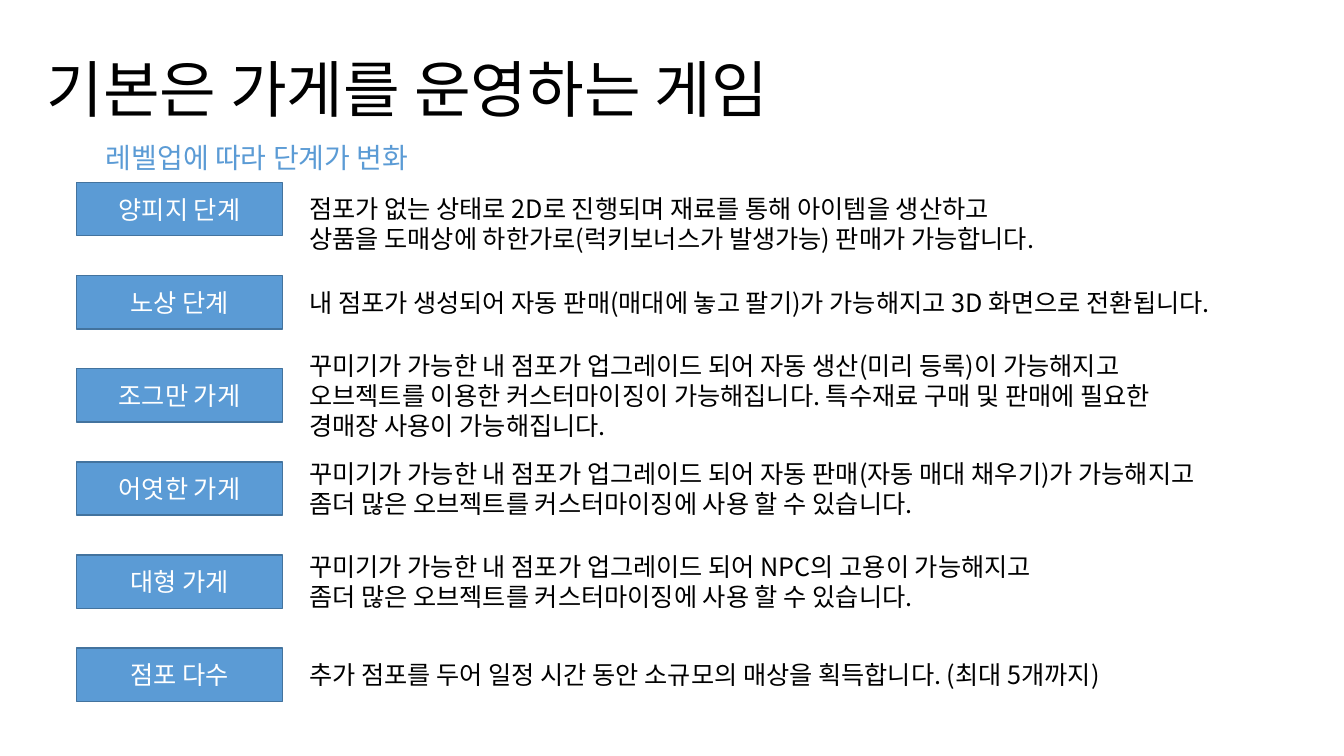
from lxml.etree import SubElement
from pptx import Presentation
from pptx.dml.color import RGBColor
from pptx.enum.shapes import MSO_SHAPE as Shape
from pptx.enum.text import MSO_ANCHOR as Anchor, PP_ALIGN as Align
from pptx.oxml.ns import qn
from pptx.util import Inches, Pt

FONT = "Noto Sans CJK KR"
BLACK = RGBColor(0x00, 0x00, 0x00)
WHITE = RGBColor(0xFF, 0xFF, 0xFF)
BLUE = RGBColor(0x5B, 0x9B, 0xD5)
DARK_BLUE = RGBColor(0x43, 0x73, 0x9E)

# Grid of stages, in inches
LABEL_LEFT, LABEL_WIDTH, LABEL_HEIGHT = 0.76, 2.04, 0.53
TEXT_LEFT, TEXT_WIDTH = 2.97, 10.3
FIRST_TOP, ROW_PITCH = 1.81, 0.924
LINE_HEIGHT, PADDING = 0.3, 0.1

# Label, lines of description, downward shift of the description
STAGES = [
    ("양피지 단계", ["점포가 없는 상태로 2D로 진행되며 재료를 통해 아이템을 생산하고",
                 "상품을 도매상에 하한가로(럭키보너스가 발생가능) 판매가 가능합니다."], 0.14),
    ("노상 단계", ["내 점포가 생성되어 자동 판매(매대에 놓고 팔기)가 가능해지고 "
                "3D 화면으로 전환됩니다."], 0),
    ("조그만 가게", ["꾸미기가 가능한 내 점포가 업그레이드 되어 자동 생산(미리 등록)이 가능해지고",
                 "오브젝트를 이용한 커스터마이징이 가능해집니다. 특수재료 구매 및 판매에 필요한",
                 "경매장 사용이 가능해집니다."], 0),
    ("어엿한 가게", ["꾸미기가 가능한 내 점포가 업그레이드 되어 자동 판매(자동 매대 채우기)가 가능해지고",
                 "좀더 많은 오브젝트를 커스터마이징에 사용 할 수 있습니다."], 0),
    ("대형 가게", ["꾸미기가 가능한 내 점포가 업그레이드 되어 NPC의 고용이 가능해지고",
                "좀더 많은 오브젝트를 커스터마이징에 사용 할 수 있습니다."], 0),
    ("점포 다수", ["추가 점포를 두어 일정 시간 동안 소규모의 매상을 획득합니다. (최대 5개까지)"], 0),
]


def write_lines(shape, lines, size, color, align=Align.LEFT, spacing=None):
    frame = shape.text_frame
    for name, value in {"word_wrap": True, "vertical_anchor": Anchor.MIDDLE}.items():
        setattr(frame, name, value)
    for index, line in enumerate(lines):
        para = frame.add_paragraph() if index else frame.paragraphs[0]
        para.alignment, para.line_spacing = align, spacing
        span = para.add_run()
        span.text = line
        for name, value in {"name": FONT, "size": Pt(size)}.items():
            setattr(span.font, name, value)
        span.font.color.rgb = color
        # Korean glyphs take the East Asian typeface
        SubElement(span.font._element, qn("a:ea"), typeface=FONT)


def add_heading(page):
    title = page.shapes.title
    frame = {"left": 0.36, "top": 0.19, "width": 11.5, "height": 1.45}
    for name, value in frame.items():
        setattr(title, name, Inches(value))
    write_lines(title, ["기본은 가게를 운영하는 게임"], 44, BLACK, spacing=0.9)

    subtitle = page.shapes.add_textbox(
        Inches(LABEL_LEFT), Inches(1.34), Inches(3.58), Inches(0.44))
    write_lines(subtitle, ["레벨업에 따라 단계가 변화"], 20, BLUE, Align.CENTER, Pt(24))


def add_stage(page, top, label, lines, shift):
    # Stage label
    box = page.shapes.add_shape(
        Shape.RECTANGLE, Inches(LABEL_LEFT), Inches(top),
        Inches(LABEL_WIDTH), Inches(LABEL_HEIGHT))
    box.shadow.inherit = False
    box.fill.solid()
    box.fill.fore_color.rgb = BLUE
    box.line.color.rgb = DARK_BLUE
    box.line.width = Pt(1)
    write_lines(box, [label], 18, WHITE, Align.CENTER, Pt(21.6))

    # Description, centred on the label
    height = len(lines) * LINE_HEIGHT + PADDING
    text_top = top + (LABEL_HEIGHT - height) / 2 + shift
    description = page.shapes.add_textbox(
        Inches(TEXT_LEFT), Inches(text_top), Inches(TEXT_WIDTH), Inches(height))
    write_lines(description, lines, 18, BLACK, spacing=Pt(21.6))


def main():
    deck = Presentation()
    deck.slide_width, deck.slide_height = Inches(13.33), Inches(7.5)
    page = deck.slides.add_slide(deck.slide_layouts.get_by_name("Title Only"))
    add_heading(page)
    for row, (label, lines, shift) in enumerate(STAGES):
        add_stage(page, FIRST_TOP + row * ROW_PITCH, label, lines, shift)
    deck.save("out.pptx")


if __name__ == "__main__":
    main()
